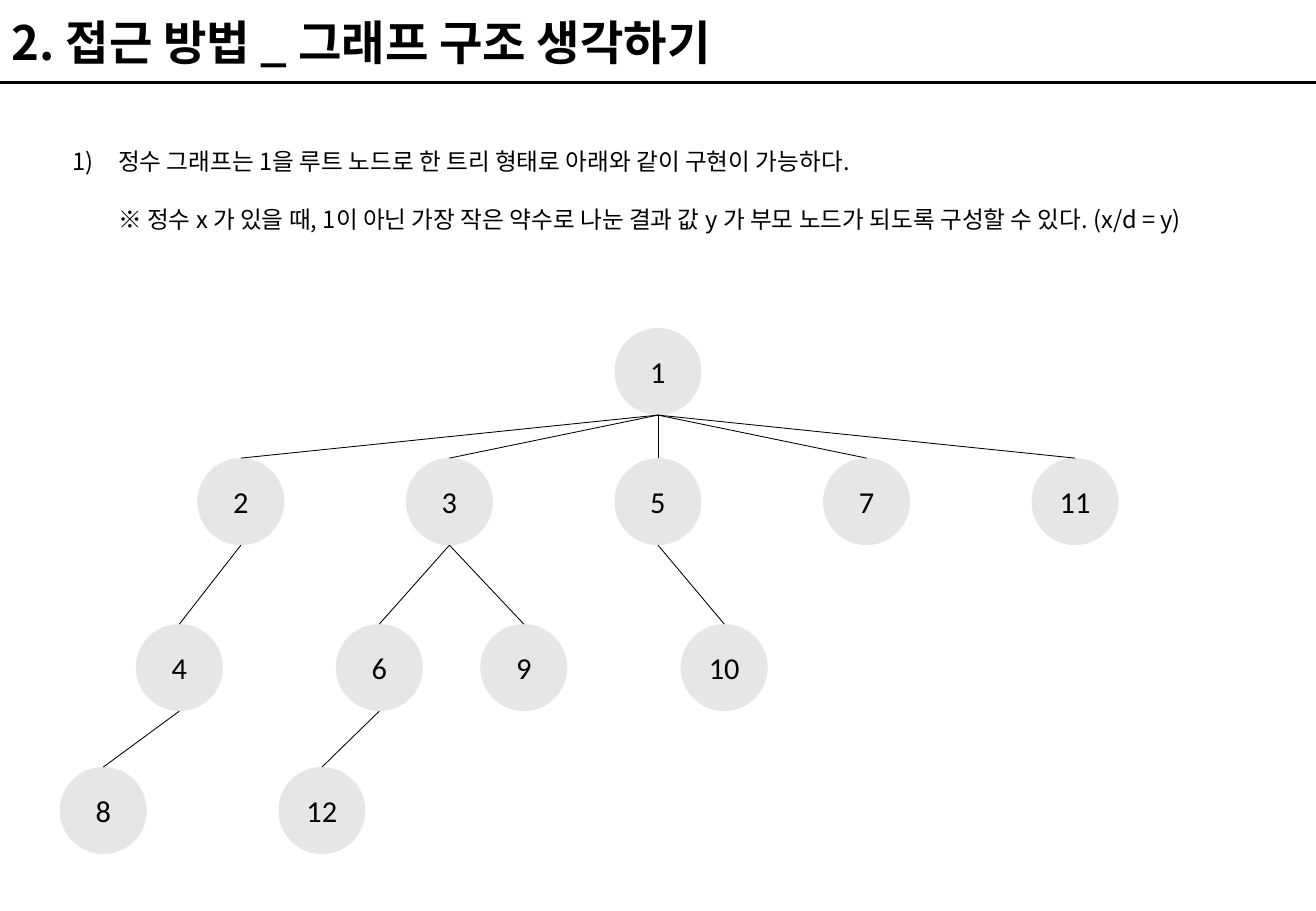
import dataclasses

import lxml.etree
import pptx
import pptx.dml.color
import pptx.enum.shapes
import pptx.enum.text
import pptx.oxml.ns
import pptx.shapes.autoshape
import pptx.slide
import pptx.text.text
import pptx.util

BLACK = pptx.dml.color.RGBColor(0x00, 0x00, 0x00)
GRAY = pptx.dml.color.RGBColor(0xE7, 0xE6, 0xE6)
HANGUL = "Noto Sans CJK KR"
LATIN = "Calibri"
WIDTH = 27.51
HEIGHT = 19.05
RULE_TOP = 1.73
SIZE = 1.82
MIDDLE = WIDTH / 2
STEP = 4.36
ROWS = (6.86, 9.58, 13.05, 16.04)


@dataclasses.dataclass(frozen=True)
class Node:
    value: int
    mid: float
    row: int

    @property
    def top(self) -> float:
        return ROWS[self.row]


PRIMES = [Node(p, MIDDLE + STEP * (i - 2), 1) for i, p in enumerate((2, 3, 5, 7, 11))]
NODES = [
    Node(1, MIDDLE, 0),
    *PRIMES,
    Node(4, 3.75, 2),
    Node(6, 7.93, 2),
    Node(9, 10.95, 2),
    Node(10, 15.14, 2),
    Node(8, 2.16, 3),
    Node(12, 6.73, 3),
]


def parent(value: int) -> int:
    return value // next(d for d in range(2, value + 1) if value % d == 0)


def style(para: pptx.text.text._Paragraph, size: int, face: str, bold: bool = False) -> None:
    for run in para.runs:
        run.font.size = pptx.util.Pt(size)
        run.font.name = face
        run.font.bold = bold
        run.font.color.rgb = BLACK
        east = lxml.etree.SubElement(run.font._element, pptx.oxml.ns.qn("a:ea"))
        east.set("typeface", face)


def add_box(slide: pptx.slide.Slide, left: float, top: float, width: float,
            height: float, text: str) -> pptx.text.text.TextFrame:
    box = slide.shapes.add_textbox(*map(pptx.util.Cm, (left, top, width, height)))
    box.text_frame.text = text
    return box.text_frame


def add_line(slide: pptx.slide.Slide, x1: float, y1: float, x2: float,
             y2: float, weight: float) -> None:
    line = slide.shapes.add_connector(
        pptx.enum.shapes.MSO_CONNECTOR.STRAIGHT, *map(pptx.util.Cm, (x1, y1, x2, y2)))
    line.line.color.rgb = BLACK
    line.line.width = pptx.util.Pt(weight)
    lxml.etree.SubElement(line._element.spPr, pptx.oxml.ns.qn("a:effectLst"))


def add_node(slide: pptx.slide.Slide, node: Node) -> None:
    disc = slide.shapes.add_shape(
        pptx.enum.shapes.MSO_SHAPE.OVAL,
        *map(pptx.util.Cm, (node.mid - SIZE / 2, node.top, SIZE, SIZE)))
    disc.shadow.inherit = False
    disc.fill.solid()
    disc.fill.fore_color.rgb = GRAY
    disc.line.fill.background()
    frame = disc.text_frame
    frame.text = str(node.value)
    frame.vertical_anchor = pptx.enum.text.MSO_ANCHOR.MIDDLE
    frame.paragraphs[0].alignment = pptx.enum.text.PP_ALIGN.CENTER
    style(frame.paragraphs[0], 18, LATIN)


def add_title(slide: pptx.slide.Slide) -> None:
    add_line(slide, 0, RULE_TOP, WIDTH, RULE_TOP, 1.5)
    frame = add_box(slide, 0, 0, 16.05, RULE_TOP, "2. 접근 방법 _ 그래프 구조 생각하기")
    frame.vertical_anchor = pptx.enum.text.MSO_ANCHOR.MIDDLE
    style(frame.paragraphs[0], 28, HANGUL, True)


def add_notes(slide: pptx.slide.Slide) -> None:
    frame = add_box(
        slide, 0, 2.95, WIDTH, 2.05,
        "정수 그래프는 1을 루트 노드로 한 트리 형태로 아래와 같이 구현이 가능하다.\n"
        "※ 정수 x 가 있을 때, 1이 아닌 가장 작은 약수로 나눈 결과 값 y 가 "
        "부모 노드가 되도록 구성할 수 있다. (x/d = y)")
    frame.word_wrap = True
    for para in frame.paragraphs:
        para.line_spacing = pptx.util.Pt(17)
        style(para, 14, HANGUL)
        para._p.get_or_add_pPr().set("marL", str(pptx.util.Cm(2.22)))
    first, second = frame.paragraphs
    second.space_before = pptx.util.Pt(17)
    props = first._p.get_or_add_pPr()
    props.set("indent", str(pptx.util.Cm(-0.95)))
    mark = lxml.etree.SubElement(props, pptx.oxml.ns.qn("a:buAutoNum"))
    mark.set("type", "arabicParenR")


def add_tree(slide: pptx.slide.Slide) -> None:
    lookup = {node.value: node for node in NODES}
    for node in NODES:
        add_node(slide, node)
    for node in NODES[1:]:
        root = lookup[parent(node.value)]
        add_line(slide, root.mid, root.top + SIZE, node.mid, node.top, 0.5)


def main() -> None:
    deck = pptx.Presentation()
    deck.slide_width = pptx.util.Cm(WIDTH)
    deck.slide_height = pptx.util.Cm(HEIGHT)
    slide = deck.slides.add_slide(deck.slide_layouts[6])
    add_title(slide)
    add_notes(slide)
    add_tree(slide)
    deck.save("out.pptx")


if __name__ == "__main__":
    main()
